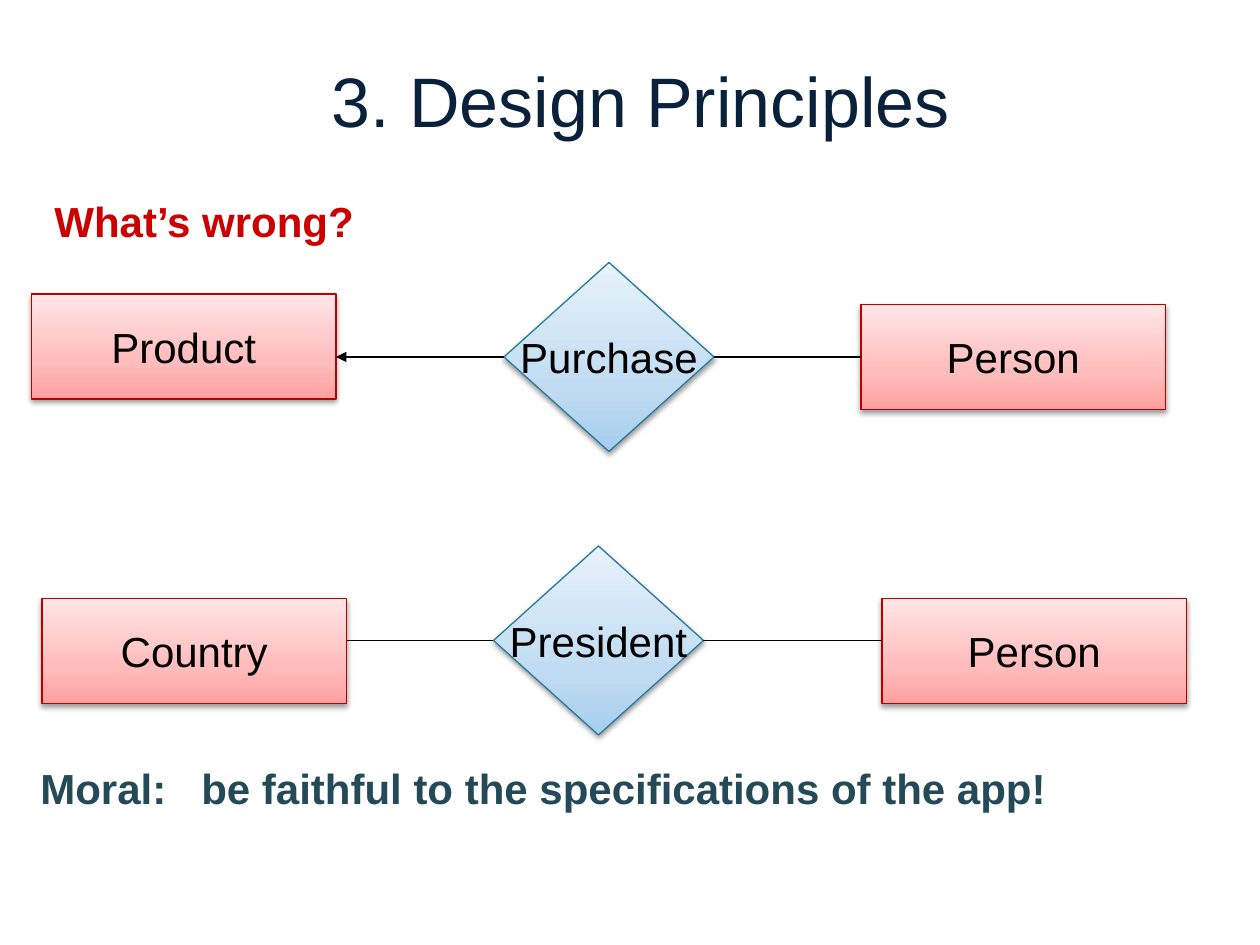
from dataclasses import dataclass

import lxml.etree
import pptx
import pptx.dml.color
import pptx.enum.shapes
import pptx.enum.text
import pptx.oxml.ns
import pptx.util

Pt = pptx.util.Pt
RGB = pptx.dml.color.RGBColor.from_string
SHAPE = pptx.enum.shapes.MSO_SHAPE
ALIGN = pptx.enum.text.PP_ALIGN
ANCHOR = pptx.enum.text.MSO_ANCHOR
qn = pptx.oxml.ns.qn


@dataclass(frozen=True)
class Theme:
    font: str = "Arial"
    title_size: int = 40
    body_size: int = 24
    title: str = "09213B"
    ink: str = "000000"
    question: str = "CC0000"
    moral: str = "244A58"
    entity_line: str = "BC0000"
    entity_fill: tuple = ("FFA0A0", "FFBCBC", "FFE5E5")
    relation_line: str = "287A9E"
    relation_fill: tuple = ("A6CEEE", "C1DCF2", "E7F2FB")
    fill_stops: tuple = (0, 35, 100)
    line_width: float = 0.75


def add_xml(parent, tag, **attrs):
    values = {name: str(value) for name, value in attrs.items()}
    return lxml.etree.SubElement(parent, qn(tag), values)


class ERSlide:
    ENTITY = (174, 60)
    RELATION = (120, 108)

    def __init__(self, s, theme):
        self.s = s
        self.theme = theme

    def set_text(self, sp, text, color, size=None, bold=False, align=ALIGN.LEFT,
                 anchor=ANCHOR.TOP, wrap=True, tab=None):
        tf = sp.text_frame
        for name, value in {"word_wrap": wrap, "vertical_anchor": anchor}.items():
            setattr(tf, name, value)
        p = tf.paragraphs[0]
        p.alignment = align
        if tab:
            tabs = add_xml(p._p.get_or_add_pPr(), "a:tabLst")
            add_xml(tabs, "a:tab", pos=Pt(tab), algn="l")
        r = p.add_run()
        r.text = text
        style = {"name": self.theme.font, "bold": bold,
                 "size": Pt(size or self.theme.body_size)}
        for name, value in style.items():
            setattr(r.font, name, value)
        r.font.color.rgb = RGB(color)

    def text(self, box, text, color, **style):
        sp = self.s.shapes.add_textbox(*map(Pt, box))
        self.set_text(sp, text, color, **style)

    def gradient(self, sp, colors):
        """Fill upward, from the first colour at the bottom."""
        sp.fill.gradient()
        sp.fill.gradient_angle = 90
        stops = sp._element.spPr.find(qn("a:gradFill")).find(qn("a:gsLst"))
        for stop in list(stops):
            stops.remove(stop)
        for pos, color in zip(self.theme.fill_stops, colors):
            add_xml(add_xml(stops, "a:gs", pos=pos * 1000), "a:srgbClr", val=color)

    def shadow(self, sp):
        sp.shadow.inherit = False
        effects = sp._element.spPr.find(qn("a:effectLst"))
        outer = add_xml(effects, "a:outerShdw", blurRad=Pt(3.1), dist=Pt(1.6),
                        dir=90 * 60000, rotWithShape=0)
        color = add_xml(outer, "a:srgbClr", val=self.theme.ink)
        add_xml(color, "a:alpha", val=38000)

    def node(self, kind, left, top, size, label, colors, line):
        sp = self.s.shapes.add_shape(kind, *map(Pt, (left, top, *size)))
        self.gradient(sp, colors)
        sp.line.color.rgb = RGB(line)
        sp.line.width = Pt(self.theme.line_width)
        self.shadow(sp)
        self.set_text(sp, label, self.theme.ink, align=ALIGN.CENTER,
                      anchor=ANCHOR.MIDDLE, wrap=False)

    def entity(self, left, top, label):
        self.node(SHAPE.RECTANGLE, left, top, self.ENTITY, label,
                  self.theme.entity_fill, self.theme.entity_line)

    def relation(self, left, top, label):
        self.node(SHAPE.DIAMOND, left, top, self.RELATION, label,
                  self.theme.relation_fill, self.theme.relation_line)

    def link(self, x1, x2, y, arrow=False):
        c = self.s.shapes.add_connector(
            pptx.enum.shapes.MSO_CONNECTOR.STRAIGHT, *map(Pt, (x1, y, x2, y)))
        c.line.color.rgb = RGB(self.theme.ink)
        c.line.width = Pt(self.theme.line_width)
        if arrow:
            add_xml(c._element.spPr.find(qn("a:ln")), "a:tailEnd", type="triangle")
        add_xml(c._element.spPr, "a:effectLst")

    def diagram(self, left, relation, right, arrow=False):
        """Draw entity - relation - entity, each given as (left, top, label)."""
        self.relation(*relation)
        self.entity(*left)
        self.entity(*right)
        width, height = self.RELATION
        x, y = relation[0], relation[1] + height / 2
        self.link(x, left[0] + self.ENTITY[0], y, arrow)
        self.link(x + width, right[0], y)


def main():
    prs = pptx.Presentation()
    prs.slide_width, prs.slide_height = Pt(720), Pt(540)
    theme = Theme()
    slide = ERSlide(prs.slides.add_slide(prs.slide_layouts[6]), theme)

    slide.text((60, 12, 612, 90), "3. Design Principles", theme.title,
               size=theme.title_size, align=ALIGN.CENTER, anchor=ANCHOR.MIDDLE)
    slide.text((24, 108, 190, 36), "What’s wrong?", theme.question, bold=True)
    slide.diagram((18, 168, "Product"), (288, 150, "Purchase"),
                  (492, 174, "Person"), arrow=True)
    slide.diagram((24, 342, "Country"), (282, 312, "President"),
                  (504, 342, "Person"))
    slide.text((16, 432, 595, 36),
               "Moral:\tbe faithful to the specifications of the app!",
               theme.moral, bold=True, tab=92)
    prs.save("out.pptx")


if __name__ == "__main__":
    main()
